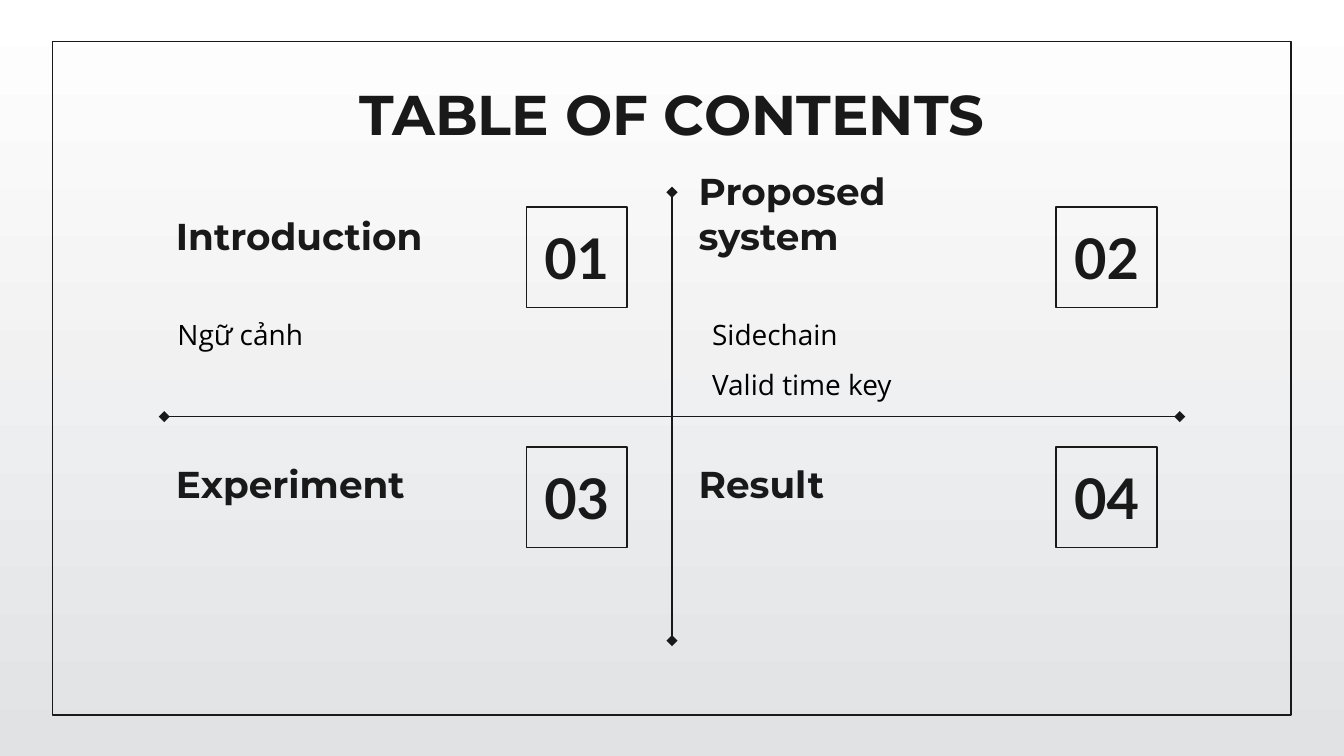
from lxml import etree
from pptx import Presentation
from pptx.dml.color import RGBColor
from pptx.enum.shapes import MSO_CONNECTOR, MSO_SHAPE
from pptx.enum.text import MSO_ANCHOR, MSO_AUTO_SIZE, PP_ALIGN
from pptx.oxml.ns import qn
from pptx.util import Pt

LEFT, CENTER = PP_ALIGN.LEFT, PP_ALIGN.CENTER
TOP, MIDDLE, BOTTOM = MSO_ANCHOR.TOP, MSO_ANCHOR.MIDDLE, MSO_ANCHOR.BOTTOM
RECT, STRAIGHT = MSO_SHAPE.RECTANGLE, MSO_CONNECTOR.STRAIGHT
FIXED = MSO_AUTO_SIZE.NONE

INK = "191919"
THIN = 0.75
INSET = 7.2
SIDE = 54  # number box


def color(code):
    return RGBColor.from_string(code)


def put_text(shape, text, size, font="Montserrat", ink=INK, bold=True,
             align=LEFT, anchor=TOP, spacing=None):
    """Write text in a shape, one paragraph a line."""
    frame = shape.text_frame
    frame.word_wrap = True
    frame.auto_size = FIXED
    frame.vertical_anchor = anchor
    frame.margin_left = frame.margin_right = Pt(INSET)
    frame.margin_top = frame.margin_bottom = Pt(INSET)
    frame.text = text
    for para in frame.paragraphs:
        para.alignment = align
        if spacing:
            para.line_spacing = spacing
        para.font.name = font
        para.font.size = Pt(size)
        para.font.bold = bold
        para.font.color.rgb = color(ink)


def add_box(slide, x, y, w, h):
    """Outlined rectangle without fill."""
    box = slide.shapes.add_shape(RECT, Pt(x), Pt(y), Pt(w), Pt(h))
    box.shadow.inherit = False
    box.fill.background()
    box.line.color.rgb = color(INK)
    box.line.width = Pt(THIN)
    return box


def add_label(slide, text, x, y, w, h, **style):
    label = slide.shapes.add_textbox(Pt(x), Pt(y), Pt(w), Pt(h))
    put_text(label, text, **style)


def add_rule(slide, x1, y1, x2, y2):
    """Straight line with a diamond at each end."""
    rule = slide.shapes.add_connector(STRAIGHT, Pt(x1), Pt(y1), Pt(x2), Pt(y2))
    rule.line.color.rgb = color(INK)
    rule.line.width = Pt(THIN)
    line = rule.line._get_or_add_ln()
    for end in ("a:headEnd", "a:tailEnd"):
        etree.SubElement(line, qn(end), type="diamond")
    etree.SubElement(rule._element.spPr, qn("a:effectLst"))


def set_back(slide):
    fill = slide.background.fill
    fill.gradient()
    fill.gradient_angle = 270
    for stop, code in zip(fill.gradient_stops, ("FFFFFF", "E0E2E4")):
        stop.color.rgb = color(code)


def main():
    deck = Presentation()
    deck.slide_width, deck.slide_height = Pt(720), Pt(405)
    slide = deck.slides.add_slide(deck.slide_layouts[5])
    set_back(slide)

    # Frame and title
    add_box(slide, 28.2, 22.2, 663.4, 360.9)
    title = slide.shapes.title
    title.left, title.top = Pt(56.7), Pt(35.4)
    title.width, title.height = Pt(606.6), Pt(45)
    put_text(title, "TABLE OF CONTENTS", 30, align=CENTER)

    # Cross that parts the four topics
    add_rule(slide, 88, 223.2, 632, 223.2)
    add_rule(slide, 360, 103, 360, 343.2)

    # Topics: heading left and number left by column, tops by row
    cols = ((87.2, 282), (367.2, 565.8))
    rows = ((106.5, 110.8), (239.5, 239.5))
    topics = ("Introduction", "Proposed system", "Experiment", "Result")
    for i, topic in enumerate(topics):
        head_x, box_x = cols[i % 2]
        head_y, box_y = rows[i // 2]
        add_label(slide, topic, head_x, head_y, 192, 39, size=20, anchor=BOTTOM)
        box = add_box(slide, box_x, box_y, SIDE, SIDE)
        put_text(box, f"{i + 1:02}", 30, font="Lato", align=CENTER,
                 anchor=MIDDLE)

    # Details under the first row
    details = (("Ngữ cảnh", 88, 106, 32.4),
               ("Sidechain\nValid time key", 374.4, 152.6, 59.8))
    for text, x, w, h in details:
        add_label(slide, text, x, 154, w, h, size=15, font="Open Sans",
                  ink="000000", bold=False, spacing=1.5)

    deck.save("out.pptx")


if __name__ == "__main__":
    main()
